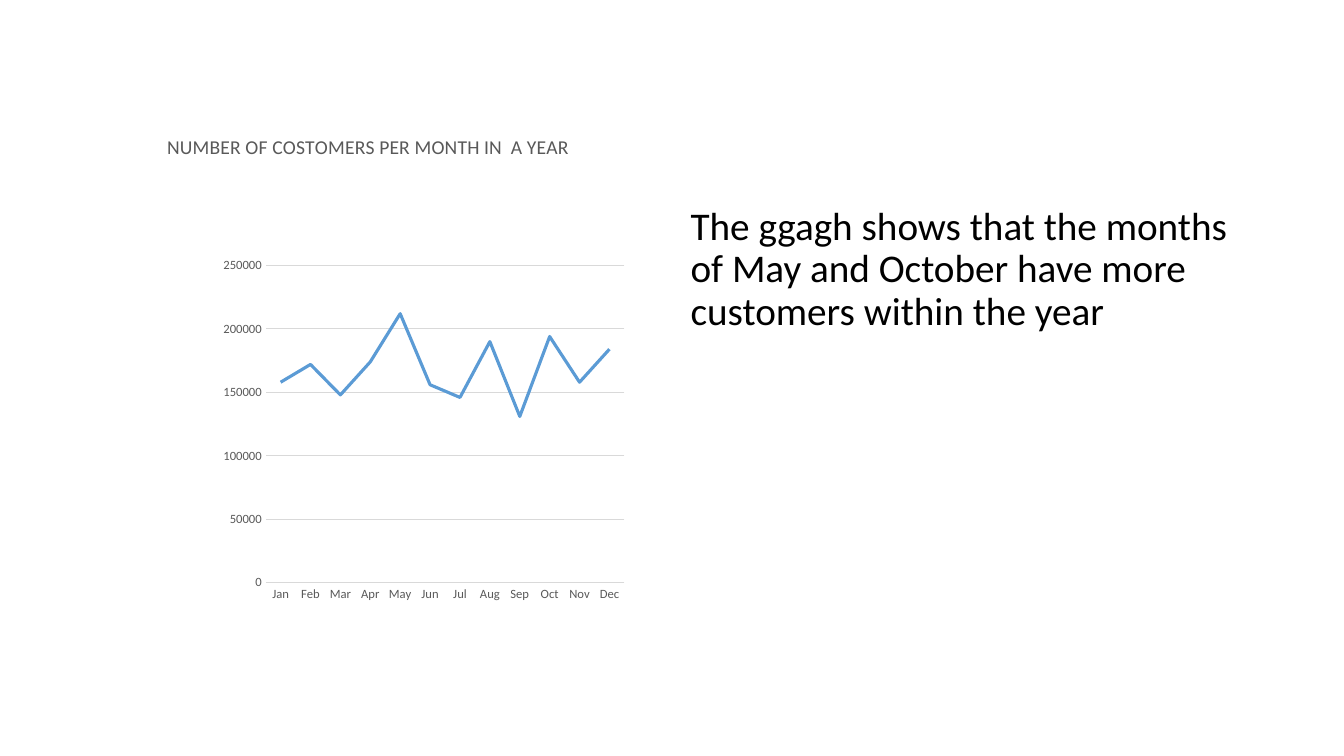
from lxml.etree import SubElement
from pptx import Presentation
from pptx.chart.data import CategoryChartData
from pptx.dml.color import RGBColor
from pptx.enum.chart import XL_CHART_TYPE, XL_TICK_MARK
from pptx.oxml.ns import qn
from pptx.util import Cm, Pt

# Content
TITLE = "NUMBER OF COSTOMERS PER MONTH IN  A YEAR"
BODY = "The ggagh shows that the months of May and October have more customers within the year"
CUSTOMERS = {
    "Jan": 158000, "Feb": 172000, "Mar": 148000, "Apr": 174000,
    "May": 212000, "Jun": 156000, "Jul": 146000, "Aug": 190000,
    "Sep": 131000, "Oct": 194000, "Nov": 158000, "Dec": 184000,
}
COLORS = {"text": "000000", "label": "595959", "grid": "D9D9D9", "line": "5B9BD5"}
FONT = "Calibri"
PLOT = {"x": 0.3, "y": 0.26, "w": 0.7, "h": 0.54}  # shares of the chart area


def rgb(name):
    return RGBColor.from_string(COLORS[name])


def style_font(font, size, color):
    font.name, font.size, font.bold = FONT, Pt(size), False
    font.color.rgb = rgb(color)


def write(tf, text, size, color, spacing=None, before=None):
    p = tf.paragraphs[0]
    p.line_spacing = spacing
    p.space_before = before
    r = p.add_run()
    r.text = text
    style_font(r.font, size, color)
    return p


def style_line(line, color, width):
    line.color.rgb = rgb(color)
    line.width = Pt(width)


prs = Presentation()
prs.slide_width, prs.slide_height = Cm(33.87), Cm(19.05)
s = prs.slides.add_slide(prs.slide_layouts[1])
title = s.shapes.title
title.element.getparent().remove(title.element)

# Finding, in the body placeholder without a bullet
body = s.placeholders[1]
body.left, body.top, body.width, body.height = Cm(17.15), Cm(5.08), Cm(14.4), Cm(12.09)
p = write(body.text_frame, BODY, 28, "text", spacing=0.9, before=Pt(10))
pPr = p._p.get_or_add_pPr()
pPr.set("marL", "0")
pPr.set("indent", "0")
SubElement(pPr, qn("a:buNone"))

# Line chart
data = CategoryChartData()
data.categories = list(CUSTOMERS)
data.add_series("Series 1", list(CUSTOMERS.values()))
chart = s.shapes.add_chart(XL_CHART_TYPE.LINE, Cm(2.82), Cm(2.84),
                           Cm(12.93), Cm(14.81), data).chart
style_font(chart.font, 10, "text")
chart.has_legend = False
chart.has_title = True
write(chart.chart_title.text_frame, TITLE, 14, "label")
chart.chart_title.include_in_layout = False
chart.plots[0].vary_by_categories = False
series = chart.plots[0].series[0]
series.smooth = False
style_line(series.format.line, "line", 2.25)

# Axes
for axis in (chart.category_axis, chart.value_axis):
    axis.major_tick_mark = axis.minor_tick_mark = XL_TICK_MARK.NONE
    style_font(axis.tick_labels.font, 9, "label")
style_line(chart.category_axis.format.line, "grid", 0.75)
values = chart.value_axis
values.minimum_scale, values.maximum_scale, values.major_unit = 0, 250000, 50000
values.format.line.fill.background()
values.has_major_gridlines = True
style_line(values.major_gridlines.format.line, "grid", 0.75)

# Fixed inner plot area
area = chart._chartSpace.chart.plotArea
for old in area.findall(qn("c:layout")):
    area.remove(old)
layout = SubElement(area, qn("c:layout"))
area.insert(0, layout)
manual = SubElement(layout, qn("c:manualLayout"))
settings = {"layoutTarget": "inner", "xMode": "edge", "yMode": "edge", **PLOT}
for tag, value in settings.items():
    SubElement(manual, qn(f"c:{tag}")).set("val", str(value))

prs.save("out.pptx")
